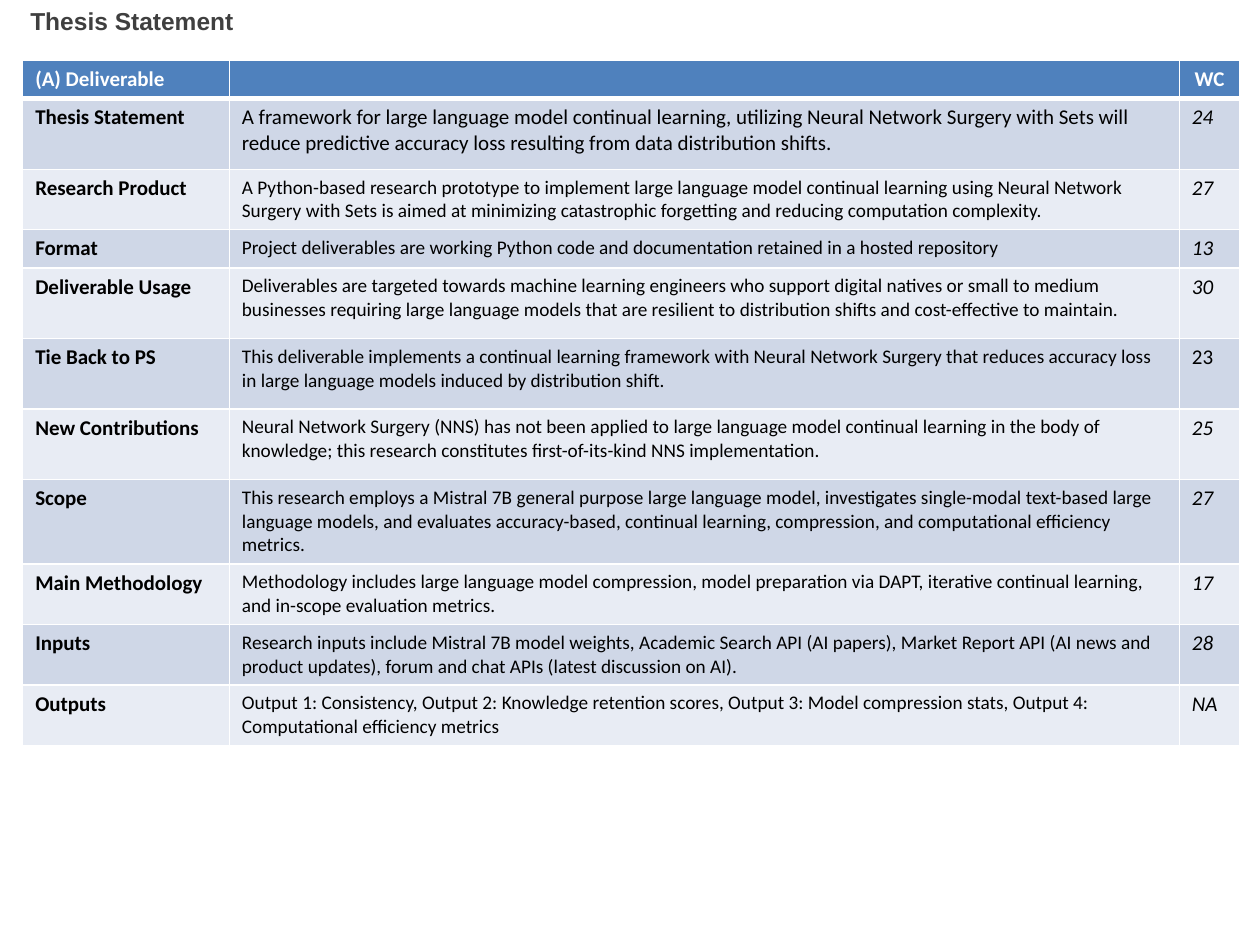
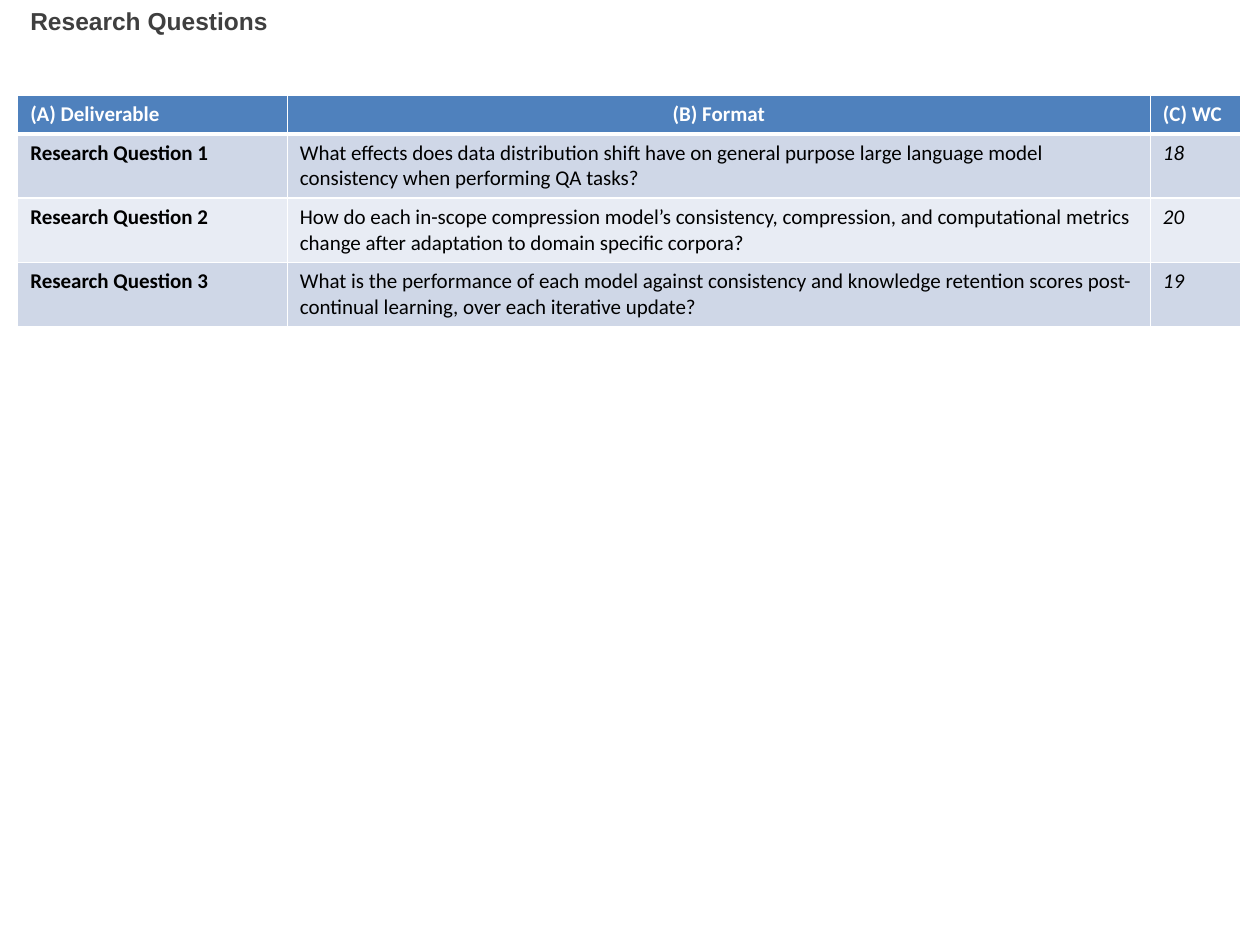
from dataclasses import dataclass

from lxml.etree import SubElement
from pptx import Presentation
from pptx.dml.color import RGBColor
from pptx.enum.text import MSO_ANCHOR as Anchor, PP_ALIGN as Align
from pptx.oxml.ns import qn
from pptx.slide import Slide
from pptx.table import _Cell as Cell
from pptx.util import Inches, Pt

# Shared look
HUES = {
    "head": "4F81BD",
    "dark": "CFD7E7",
    "light": "E8ECF4",
    "white": "FFFFFF",
    "black": "000000",
    "title": "3F3F3F",
}
TITLE_FONT, TABLE_FONT = "Arial", "Calibri"
THIN, THICK = 1, 3


@dataclass
class Row:
    name: str
    text: str
    count: str
    tall: float
    size: int = 11
    slant: bool = True


@dataclass
class Grid:
    title: str
    left: float
    top: float
    cols: list[float]
    heads: list[str]
    mids: list[int]  # centred header columns
    rows: list[Row]


def hue(name: str) -> RGBColor:
    return RGBColor.from_string(HUES[name])


def add_title(slide: Slide, text: str) -> None:
    box = slide.shapes.title
    box.left, box.top = Inches(0.14), Inches(0)
    box.width, box.height = Inches(8.48), Inches(0.68)
    frame = box.text_frame
    frame.text = text
    frame.vertical_anchor = Anchor.TOP
    para = frame.paragraphs[0]
    para.alignment = Align.LEFT
    font = para.runs[0].font
    font.name, font.size, font.bold = TITLE_FONT, Pt(14), True
    font.color.rgb = hue("title")


def add_edges(cell: Cell, above: int, below: int) -> None:
    props = cell._tc.get_or_add_tcPr()
    for side, width in zip("LRTB", (THIN, THIN, above, below)):
        line = SubElement(props, qn(f"a:ln{side}"), w=str(Pt(width)))
        fill = SubElement(line, qn("a:solidFill"))
        SubElement(fill, qn("a:srgbClr"), val=HUES["white"])


def set_cell(cell: Cell, text: str, fill: str, ink: str = "black",
             size: int = 12, bold: bool = False, slant: bool = False,
             align: Align = Align.LEFT) -> None:
    cell.fill.solid()
    cell.fill.fore_color.rgb = hue(fill)
    cell.text_frame.text = text
    para = cell.text_frame.paragraphs[0]
    para.alignment = align
    font = para.font
    if para.runs:
        font = para.runs[0].font
    font.name, font.size = TABLE_FONT, Pt(size)
    font.bold, font.italic = bold, slant
    font.color.rgb = hue(ink)


def add_grid(slide: Slide, grid: Grid) -> None:
    talls = [0.3] + [row.tall for row in grid.rows]
    table = slide.shapes.add_table(
        len(talls), len(grid.cols), Inches(grid.left), Inches(grid.top),
        Inches(sum(grid.cols)), Inches(sum(talls))).table
    for col, wide in zip(table.columns, grid.cols):
        col.width = Inches(wide)
    for at, tall in enumerate(talls):
        table.rows[at].height = Inches(tall)
        for cell in table.rows[at].cells:
            add_edges(cell, THICK if at == 1 else THIN,
                      THICK if at == 0 else THIN)

    # Header row
    for at, head in enumerate(grid.heads):
        align = Align.CENTER if at in grid.mids else Align.LEFT
        set_cell(table.cell(0, at), head, "head", "white", bold=True,
                 align=align)

    # Banded body rows
    for at, row in enumerate(grid.rows, 1):
        band = "dark" if at % 2 else "light"
        set_cell(table.cell(at, 0), row.name, band, bold=True)
        set_cell(table.cell(at, 1), row.text, band, size=row.size)
        set_cell(table.cell(at, 2), row.count, band, slant=row.slant)


# Slide content
THESIS = Grid(
    "Thesis Statement", 0.18, 0.48, [1.64, 7.54, 0.48],
    ["(A) Deliverable", "", "WC"], [2],
    [
        Row("Thesis Statement",
            "A framework for large language model continual learning, "
            "utilizing Neural Network Surgery with Sets will reduce "
            "predictive accuracy loss resulting from data distribution "
            "shifts.", "24", 0.56, size=12),
        Row("Research Product",
            "A Python-based research prototype to implement large language "
            "model continual learning using Neural Network Surgery with Sets "
            "is aimed at minimizing catastrophic forgetting and reducing "
            "computation complexity.", "27", 0.48),
        Row("Format",
            "Project deliverables are working Python code and documentation "
            "retained in a hosted repository", "13", 0.3),
        Row("Deliverable Usage",
            "Deliverables are targeted towards machine learning engineers "
            "who support digital natives or small to medium businesses "
            "requiring large language models that are resilient to "
            "distribution shifts and cost-effective to maintain.",
            "30", 0.56),
        Row("Tie Back to PS",
            "This deliverable implements a continual learning framework with "
            "Neural Network Surgery that reduces accuracy loss in large "
            "language models induced by distribution shift.",
            "23", 0.56, slant=False),
        Row("New Contributions",
            "Neural Network Surgery (NNS) has not been applied to large "
            "language model continual learning in the body of knowledge; "
            "this research constitutes first-of-its-kind NNS "
            "implementation.", "25", 0.56),
        Row("Scope",
            "This research employs a Mistral 7B general purpose large "
            "language model, investigates single-modal text-based large "
            "language models, and evaluates accuracy-based, continual "
            "learning, compression, and computational efficiency metrics.",
            "27", 0.67),
        Row("Main Methodology",
            "Methodology includes large language model compression, model "
            "preparation via DAPT, iterative continual learning, and "
            "in-scope evaluation metrics.", "17", 0.48),
        Row("Inputs",
            "Research inputs include Mistral 7B model weights, Academic "
            "Search API (AI papers), Market Report API (AI news and product "
            "updates), forum and chat APIs (latest discussion on AI).",
            "28", 0.48),
        Row("Outputs",
            "Output 1: Consistency, Output 2: Knowledge retention scores, "
            "Output 3: Model compression stats, Output 4: Computational "
            "efficiency metrics", "NA", 0.48),
    ])

ASKS = Grid(
    "Research Questions", 0.14, 0.76, [2.14, 6.85, 0.72],
    ["(A) Deliverable", "(B) Format", "(C) WC"], [1],
    [
        Row("Research Question 1",
            "What effects does data distribution shift have on general "
            "purpose large language model consistency when performing QA "
            "tasks?", "18", 0.51, size=12),
        Row("Research Question 2",
            "How do each in-scope compression model’s consistency, "
            "compression, and computational metrics change after adaptation "
            "to domain specific corpora?", "20", 0.51, size=12),
        Row("Research Question 3",
            "What is the performance of each model against consistency and "
            "knowledge retention scores post-continual learning, over each "
            "iterative update?", "19", 0.51, size=12),
    ])


def main() -> None:
    deck = Presentation()
    deck.slide_width, deck.slide_height = Inches(10), Inches(7.5)
    for grid in (THESIS, ASKS):
        slide = deck.slides.add_slide(deck.slide_layouts[5])
        add_title(slide, grid.title)
        add_grid(slide, grid)
    deck.save("out.pptx")


if __name__ == "__main__":
    main()
